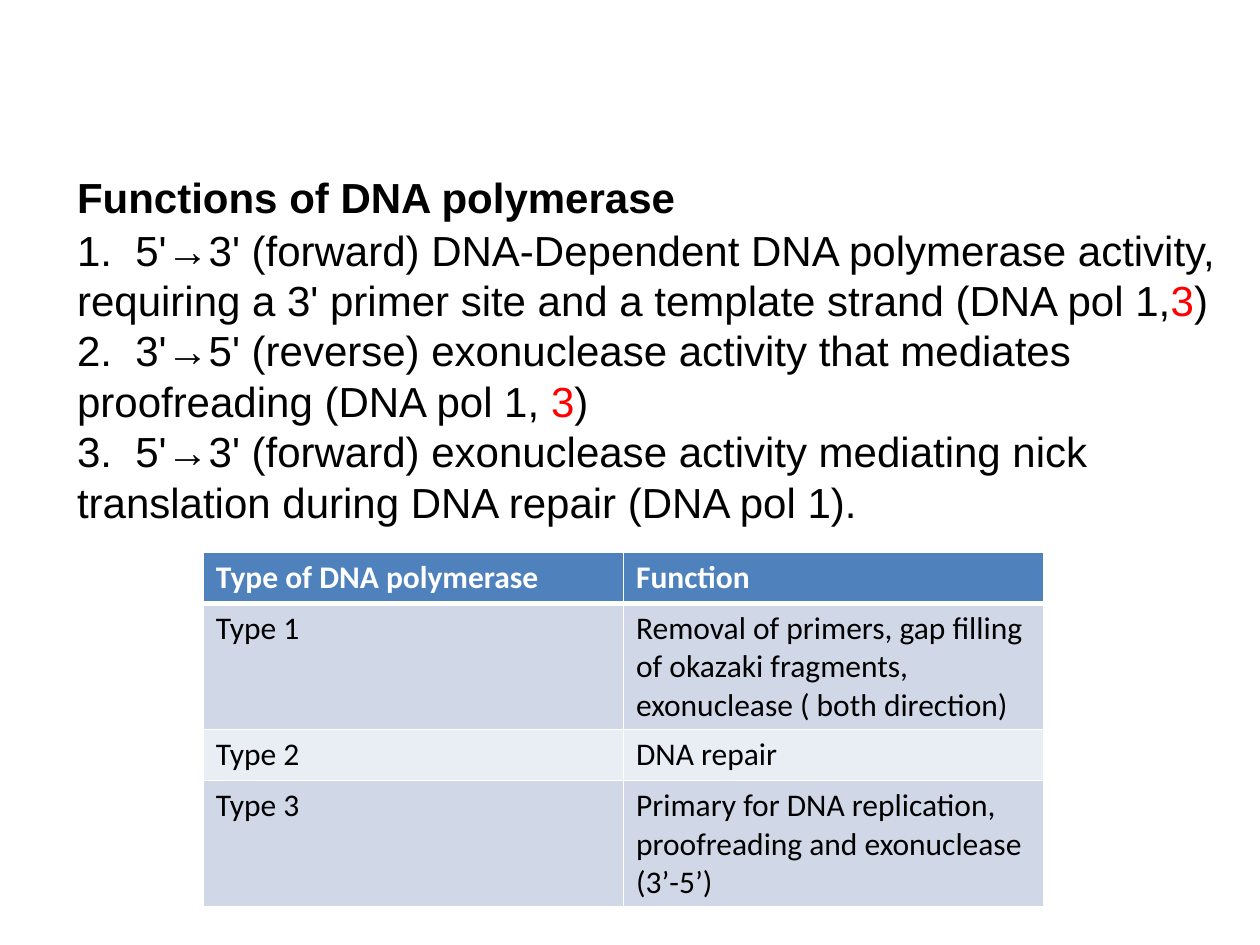
from dataclasses import dataclass

from lxml.etree import SubElement
from pptx import Presentation
from pptx.dml.color import RGBColor as Rgb
from pptx.enum.text import MSO_ANCHOR as Anchor, MSO_AUTO_SIZE as AutoSize, PP_ALIGN as Align
from pptx.oxml.ns import qn
from pptx.util import Cm, Pt


@dataclass(frozen=True)
class Theme:
    text_font: str = "Arial"
    table_font: str = "Calibri"
    text_size: int = 24
    table_size: int = 18
    ink: str = "000000"
    accent: str = "FF0000"
    white: str = "FFFFFF"
    header: str = "4F81BD"
    bands: tuple = ("D0D8E8", "E9EDF4")


THEME = Theme()

HEADING = "Functions of DNA polymerase"

# Each activity is a list of (wording, colour) pieces
ACTIVITIES = [
    [("1.  5'→3' (forward) DNA-Dependent DNA polymerase activity, requiring "
      "a 3' primer site and a template strand (DNA pol 1,", THEME.ink),
     ("3", THEME.accent), (")", THEME.ink)],
    [("2.  3'→5' (reverse) exonuclease activity that mediates "
      "proofreading (DNA pol 1, ", THEME.ink),
     ("3", THEME.accent), (")", THEME.ink)],
    [("3.  5'→3' (forward) exonuclease activity mediating nick "
      "translation during DNA repair (DNA pol 1).", THEME.ink)],
]

POLYMERASES = [
    ("Type of DNA polymerase", "Function"),
    ("Type 1", "Removal of primers, gap filling of okazaki fragments, "
               "exonuclease ( both direction)"),
    ("Type 2", "DNA repair"),
    ("Type 3", "Primary for DNA replication, proofreading and exonuclease (3’-5’)"),
]
ROW_HEIGHTS = (1.03, 2.54, 1.03, 2.54)


def style_run(run, font, size, color, bold=False):
    run.font.name = font
    run.font.size = Pt(size)
    run.font.bold = bold
    run.font.color.rgb = Rgb.from_string(color)


def place(placeholder, left, top, width, height, wrap):
    placeholder.left, placeholder.top = Cm(left), Cm(top)
    placeholder.width, placeholder.height = Cm(width), Cm(height)
    frame = placeholder.text_frame
    frame.word_wrap = wrap
    frame.auto_size = AutoSize.SHAPE_TO_FIT_TEXT
    frame.vertical_anchor = Anchor.TOP
    return frame


def remove_bullet(paragraph):
    properties = paragraph._p.get_or_add_pPr()
    properties.set("marL", "0")
    properties.set("indent", "0")
    SubElement(properties, qn("a:buNone"))


def fill_heading(title):
    frame = place(title, 1.3, 3.33, 12.93, 1.27, wrap=False)
    frame.text = HEADING
    heading = frame.paragraphs[0]
    heading.alignment = Align.LEFT
    style_run(heading.runs[0], THEME.text_font, THEME.text_size, THEME.ink, bold=True)


def fill_activities(body):
    frame = place(body, 1.3, 4.39, 23.6, 6.4, wrap=True)
    for index, pieces in enumerate(ACTIVITIES):
        activity = frame.add_paragraph() if index else frame.paragraphs[0]
        activity.space_before = Pt(0)
        remove_bullet(activity)
        for wording, color in pieces:
            run = activity.add_run()
            run.text = wording
            style_run(run, THEME.text_font, THEME.text_size, color)


def add_borders(cell, bottom_width):
    properties = cell._tc.get_or_add_tcPr()
    for side, width in (("L", 1), ("R", 1), ("T", 1), ("B", bottom_width)):
        line = SubElement(properties, qn(f"a:ln{side}"), w=str(Pt(width)))
        SubElement(SubElement(line, qn("a:solidFill")), qn("a:srgbClr"), val=THEME.white)


def add_polymerase_table(slide):
    table = slide.shapes.add_table(
        len(POLYMERASES), 2, Cm(4.1), Cm(11.13), Cm(16.94), Cm(sum(ROW_HEIGHTS))).table
    for row, (wordings, height) in enumerate(zip(POLYMERASES, ROW_HEIGHTS)):
        is_header = row == 0
        fill = THEME.header if is_header else THEME.bands[(row - 1) % 2]
        color = THEME.white if is_header else THEME.ink
        table.rows[row].height = Cm(height)
        for column, wording in enumerate(wordings):
            cell = table.cell(row, column)
            cell.text = wording
            style_run(cell.text_frame.paragraphs[0].runs[0],
                      THEME.table_font, THEME.table_size, color, bold=is_header)
            # The rule under the header is heavier; row 1 shares that edge
            add_borders(cell, bottom_width=3 if is_header else 1)
            if row == 1:
                cell._tc.tcPr.find(qn("a:lnT")).set("w", str(Pt(3)))
            cell.fill.solid()
            cell.fill.fore_color.rgb = Rgb.from_string(fill)


def main():
    deck = Presentation()
    deck.slide_width, deck.slide_height = Cm(25.4), Cm(19.05)
    slide = deck.slides.add_slide(deck.slide_layouts[1])

    # Heading and numbered activities
    fill_heading(slide.shapes.title)
    fill_activities(slide.placeholders[1])

    # Overview of the polymerase types
    add_polymerase_table(slide)

    deck.save("out.pptx")


if __name__ == "__main__":
    main()
